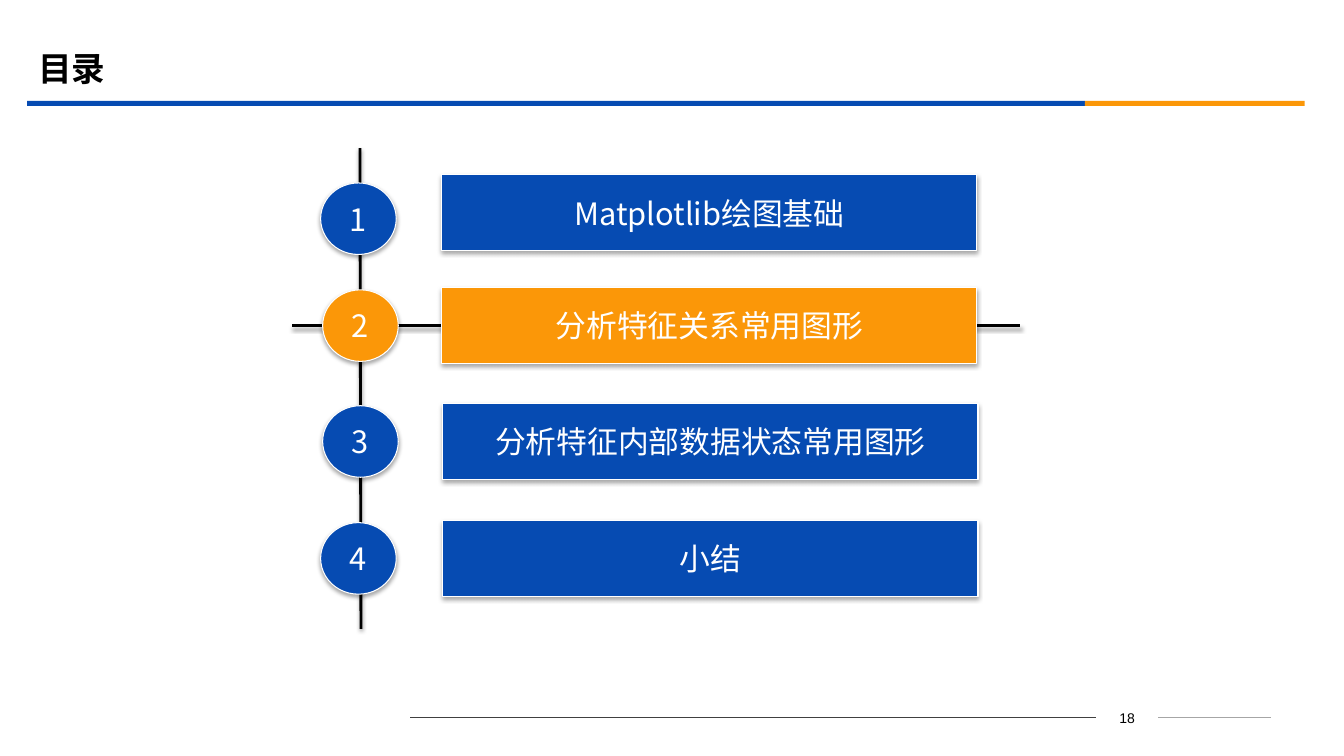
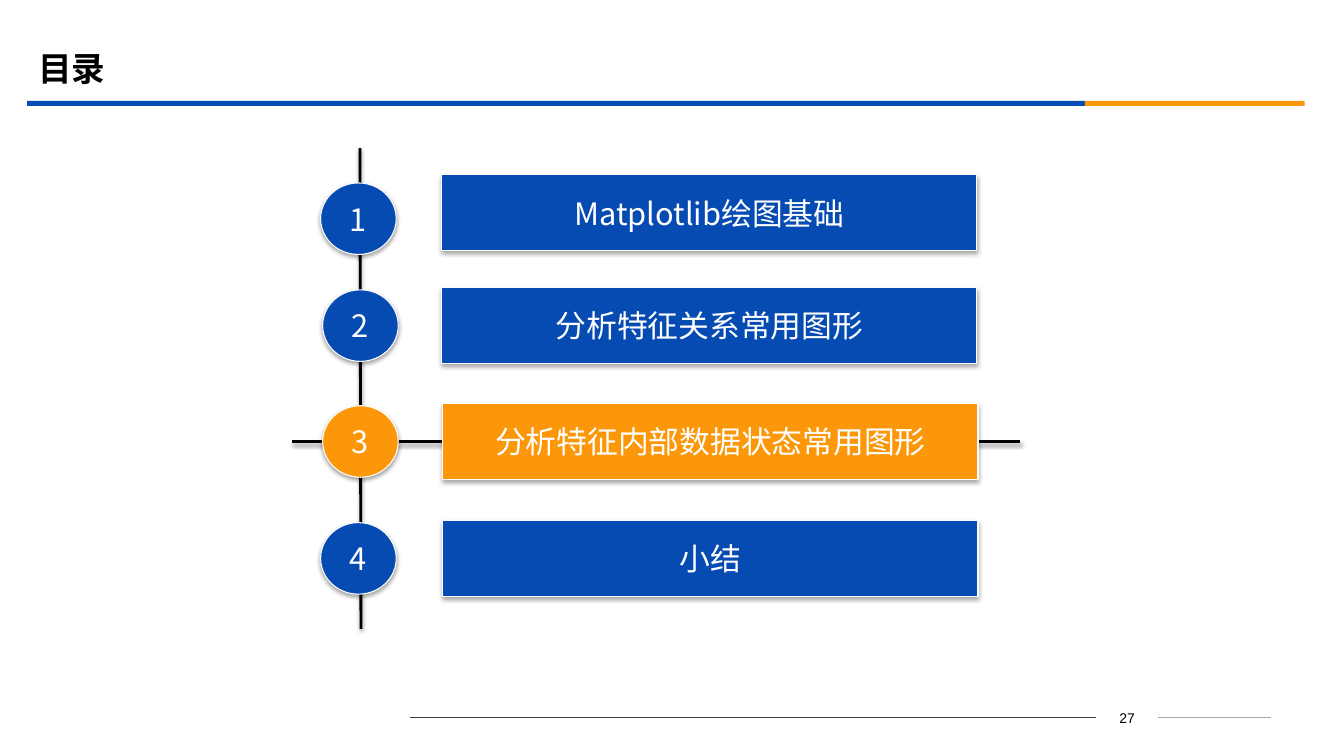
from lxml import etree
from pptx import Presentation
from pptx.dml.color import RGBColor
from pptx.enum.shapes import MSO_CONNECTOR, MSO_SHAPE
from pptx.enum.text import MSO_ANCHOR, PP_ALIGN
from pptx.oxml.ns import qn
from pptx.util import Inches, Pt

BLUE = RGBColor(0x06, 0x4B, 0xB2)
ORANGE = RGBColor(0xFB, 0x97, 0x08)
BLACK = RGBColor(0x00, 0x00, 0x00)
WHITE = RGBColor(0xFF, 0xFF, 0xFF)
DARK_GREY = RGBColor(0x40, 0x40, 0x40)
LIGHT_GREY = RGBColor(0xA6, 0xA6, 0xA6)

STRAIGHT = MSO_CONNECTOR.STRAIGHT
RECTANGLE = MSO_SHAPE.RECTANGLE
OVAL = MSO_SHAPE.OVAL
BUTTON = MSO_SHAPE.ACTION_BUTTON_CUSTOM
LEFT, CENTER = PP_ALIGN.LEFT, PP_ALIGN.CENTER
TOP, MIDDLE = MSO_ANCHOR.TOP, MSO_ANCHOR.MIDDLE

CJK_FONT = "Noto Sans CJK SC"
TITLE_FONT = "Montserrat"
NUMBER_FONT = "Arial"

SLIDE_WIDTH, SLIDE_HEIGHT = 13.33, 7.5
TITLE_BOX = (0.28, 0.39, 12, 0.58)
RULE_BOX = (0.27, 1, 12.67, 0.05)
FOOTER_BOX = (4.07, 6.99, 8.54, 0.25)
AGENDA_BOX = (2.9, 1.47, 7.22, 4.77)
BAR_SIZE = (5.31, 0.75)
BADGE_SIZE = (0.75, 0.71)

# Each entry: label, bar left and middle, badge left and middle, within the agenda box
ENTRIES = [
    ("Matplotlib绘图基础", (1.48, 0.64), (0.28, 0.7)),
    ("分析特征关系常用图形", (1.48, 1.76), (0.3, 1.76)),
    ("分析特征内部数据状态常用图形", (1.49, 2.91), (0.3, 2.91)),
    ("小结", (1.49, 4.07), (0.28, 4.07)),
]
AGENDA_PAGES = [(18, 2), (27, 3)]


def set_shadow(shape, opacity=0, distance=1.8):
    """Give the shape a soft downward shadow, or none when opacity is zero."""
    effects = etree.SubElement(shape._element.spPr, qn("a:effectLst"))
    if opacity:
        shadow = etree.SubElement(
            effects, qn("a:outerShdw"), blurRad=str(Pt(3.1)), dist=str(Pt(distance)),
            dir="5400000", rotWithShape="0")
        color = etree.SubElement(shadow, qn("a:srgbClr"), val=str(BLACK))
        etree.SubElement(color, qn("a:alpha"), val=str(opacity * 1000))


def write_text(box, text, size, color, font=CJK_FONT, bold=False, align=CENTER,
               anchor=MIDDLE, wrap=False):
    """Write one formatted paragraph into the box."""
    frame = box.text_frame
    frame.word_wrap = wrap
    frame.vertical_anchor = anchor
    para = frame.paragraphs[0]
    para.alignment = align
    span = para.add_run()
    span.text = text
    span.font.size = Pt(size)
    span.font.bold = bold
    span.font.name = font
    span.font.color.rgb = color
    etree.SubElement(span.font._element, qn("a:ea"), typeface=CJK_FONT)


def add_block(page, kind, box, fill, outline=None, opacity=0):
    """Add a filled preset shape."""
    shape = page.shapes.add_shape(kind, *map(Inches, box))
    shape.fill.solid()
    shape.fill.fore_color.rgb = fill
    if outline is None:
        shape.line.fill.background()
    else:
        shape.line.color.rgb = outline
        shape.line.width = Pt(0.75)
    set_shadow(shape, opacity)
    return shape


def add_line(page, start, end, color, width, opacity=0):
    """Add a straight line between two points."""
    line = page.shapes.add_connector(STRAIGHT, *map(Inches, (*start, *end)))
    line.line.color.rgb = color
    line.line.width = Pt(width)
    set_shadow(line, opacity, distance=1.6)


def add_title(page, text, box):
    """Place the title placeholder and fill it."""
    title = page.shapes.title
    title.left, title.top, title.width, title.height = map(Inches, box)
    write_text(title, text, 24, BLACK, font=TITLE_FONT, bold=True, align=LEFT, wrap=True)


def add_rule(page, box):
    """Draw the two-colour band under the title."""
    left, top, width, height = box
    blue_width = width * 0.828
    add_block(page, RECTANGLE, (left, top, blue_width, height), BLUE)
    add_block(page, RECTANGLE, (left + blue_width, top, width - blue_width, height), ORANGE)


def add_footer(page, number, box):
    """Draw the page number between its two footer lines."""
    left, top, width, height = box
    middle = top + height * 0.52
    number_left, number_right = left + 6.8, left + 7.42
    add_line(page, (left, middle), (number_left, middle), DARK_GREY, 0.75)
    add_line(page, (number_right, middle), (left + width, middle), LIGHT_GREY, 0.75)
    number_box = page.shapes.add_textbox(
        *map(Inches, (number_left, top, number_right - number_left, height)))
    write_text(number_box, str(number), 10, BLACK, font=NUMBER_FONT, anchor=TOP, wrap=True)


def add_agenda(page, current, box):
    """Draw the numbered agenda and highlight the current entry."""
    left, top, width, height = box
    spine = left + 0.67
    current_middle = top + ENTRIES[current - 1][1][1]
    add_line(page, (spine, top), (spine + 0.01, top + height), BLACK, 2, opacity=38)
    add_line(page, (left, current_middle), (left + width, current_middle), BLACK, 2, opacity=38)
    for number, (label, bar, badge) in enumerate(ENTRIES, start=1):
        fill = ORANGE if number == current else BLUE
        parts = [(BUTTON, label, bar, BAR_SIZE), (OVAL, str(number), badge, BADGE_SIZE)]
        for kind, text, (x, middle), (part_width, part_height) in parts:
            part_box = (left + x, top + middle - part_height / 2, part_width, part_height)
            shape = add_block(page, kind, part_box, fill, outline=WHITE, opacity=35)
            write_text(shape, text, 22, WHITE)


def add_agenda_page(deck, number, current):
    """Add one agenda slide."""
    page = deck.slides.add_slide(deck.slide_layouts[5])
    add_rule(page, RULE_BOX)
    add_footer(page, number, FOOTER_BOX)
    add_title(page, "目录", TITLE_BOX)
    add_agenda(page, current, AGENDA_BOX)


def main():
    """Build and save the deck."""
    deck = Presentation()
    deck.slide_width, deck.slide_height = Inches(SLIDE_WIDTH), Inches(SLIDE_HEIGHT)
    for number, current in AGENDA_PAGES:
        add_agenda_page(deck, number, current)
    deck.save("out.pptx")


if __name__ == "__main__":
    main()
